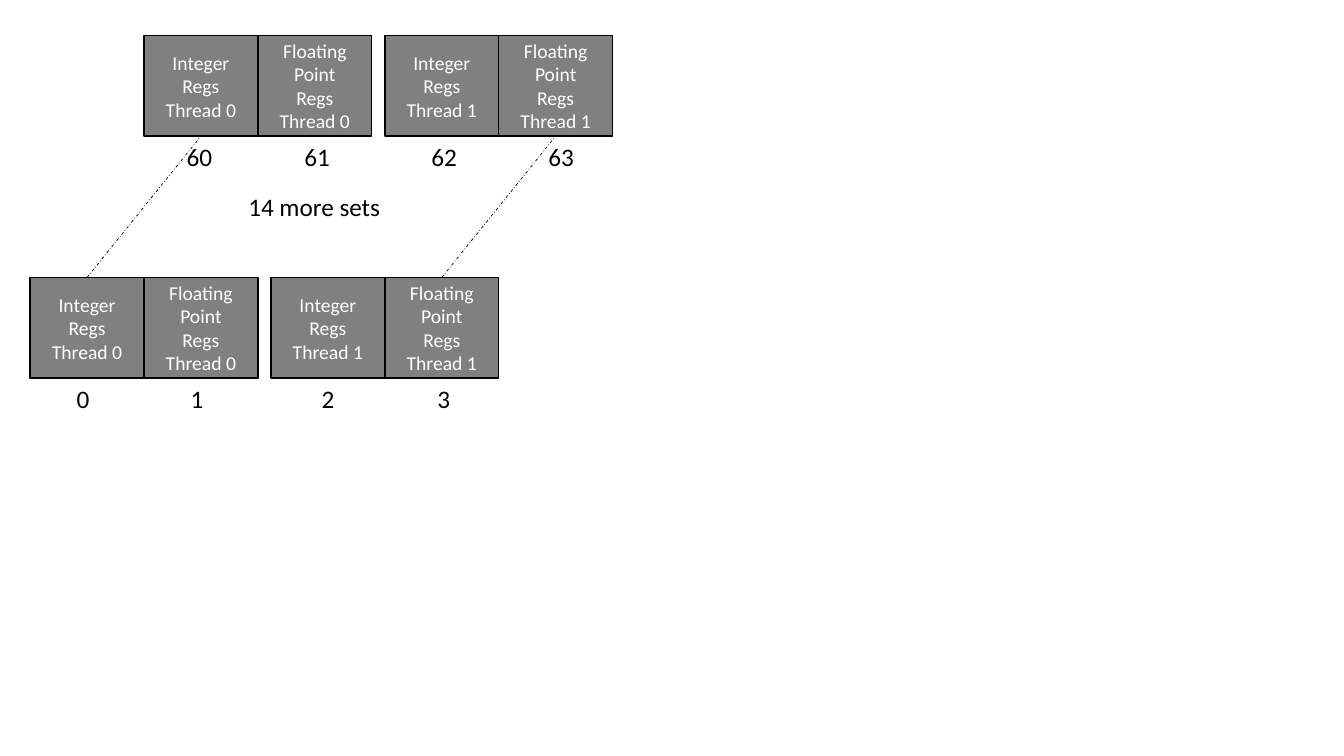
import dataclasses

import pptx
import pptx.dml.color
import pptx.enum.dml
import pptx.enum.shapes
import pptx.enum.text
import pptx.oxml
import pptx.oxml.ns
import pptx.shapes.autoshape
import pptx.slide
import pptx.util

Cm = pptx.util.Cm
Pt = pptx.util.Pt
GRAY = pptx.dml.color.RGBColor(0x80, 0x80, 0x80)
BLACK = pptx.dml.color.RGBColor(0, 0, 0)
WHITE = pptx.dml.color.RGBColor(0xFF, 0xFF, 0xFF)

FONT = "Calibri"
CELL_WIDTH = 2.87
CELL_HEIGHT = 2.54
THREAD_GAP = 0.33
LABEL_HEIGHT = 1.02
REGISTER_KINDS = ("Integer", "Floating Point")
THREAD_COUNT = 2


@dataclasses.dataclass(frozen=True)
class RegisterSet:
    left: float
    top: float
    first_number: int
    label_width: float
    label_shifts: tuple[float, ...]


FRONT_SET = RegisterSet(0.76, 6.99, 0, 0.84, (-0.1, -0.1, 0, 0.05))
BACK_SET = RegisterSet(3.63, 0.89, 60, 1.17, (-0.04, 0.06, 0.06, 0.14))


def write_text(
    shape: pptx.shapes.autoshape.Shape,
    text: str,
    *,
    size: float,
    color: pptx.dml.color.RGBColor,
) -> None:
    shape.text_frame.text = text
    for paragraph in shape.text_frame.paragraphs:
        paragraph.alignment = pptx.enum.text.PP_ALIGN.CENTER
        paragraph.font.name = FONT
        paragraph.font.size = Pt(size)
        paragraph.font.color.rgb = color


def add_label(
    slide: pptx.slide.Slide, text: str, *, center: float, top: float, width: float
) -> None:
    label = slide.shapes.add_textbox(
        Cm(center - width / 2), Cm(top), Cm(width), Cm(LABEL_HEIGHT)
    )
    label.text_frame.word_wrap = False
    label.text_frame.auto_size = pptx.enum.text.MSO_AUTO_SIZE.SHAPE_TO_FIT_TEXT
    write_text(label, text, size=18, color=BLACK)


def add_cell(
    slide: pptx.slide.Slide, text: str, left: float, top: float
) -> pptx.shapes.autoshape.Shape:
    cell = slide.shapes.add_shape(
        pptx.enum.shapes.MSO_SHAPE.RECTANGLE,
        Cm(left), Cm(top), Cm(CELL_WIDTH), Cm(CELL_HEIGHT),
    )
    cell.shadow.inherit = False
    cell.fill.solid()
    cell.fill.fore_color.rgb = GRAY
    cell.line.color.rgb = BLACK
    cell.line.width = Pt(1)
    cell.text_frame.vertical_anchor = pptx.enum.text.MSO_ANCHOR.MIDDLE
    write_text(cell, text, size=14, color=WHITE)
    return cell


def add_register_set(
    slide: pptx.slide.Slide, register_set: RegisterSet
) -> list[pptx.shapes.autoshape.Shape]:
    cells = []
    for index, shift in enumerate(register_set.label_shifts):
        thread, kind = divmod(index, len(REGISTER_KINDS))
        left = register_set.left + index * CELL_WIDTH + thread * THREAD_GAP
        text = f"{REGISTER_KINDS[kind]}\nRegs\nThread {thread}"
        cells.append(add_cell(slide, text, left, register_set.top))
        add_label(
            slide,
            str(register_set.first_number + index),
            center=left + CELL_WIDTH / 2 + shift,
            top=register_set.top + CELL_HEIGHT,
            width=register_set.label_width,
        )
    return cells


def add_depth_line(
    slide: pptx.slide.Slide,
    front_cell: pptx.shapes.autoshape.Shape,
    back_cell: pptx.shapes.autoshape.Shape,
) -> None:
    line = slide.shapes.add_connector(
        pptx.enum.shapes.MSO_CONNECTOR.STRAIGHT, 0, 0, 0, 0
    )
    line.begin_connect(front_cell, 0)
    line.end_connect(back_cell, 2)
    line.line.color.rgb = BLACK
    line.line.width = Pt(0.5)
    line.line.dash_style = pptx.enum.dml.MSO_LINE.DASH_DOT
    properties = line._element.spPr
    properties.append(
        pptx.oxml.parse_xml(f"<a:effectLst {pptx.oxml.ns.nsdecls('a')}/>")
    )


presentation = pptx.Presentation()
presentation.slide_width = Cm(33.87)
presentation.slide_height = Cm(19.05)
slide = presentation.slides.add_slide(presentation.slide_layouts[6])

front_cells = add_register_set(slide, FRONT_SET)
back_cells = add_register_set(slide, BACK_SET)
for column in (0, -1):
    add_depth_line(slide, front_cells[column], back_cells[column])
add_label(slide, "14 more sets", center=7.92, top=4.7, width=3.86)

presentation.save("out.pptx")
